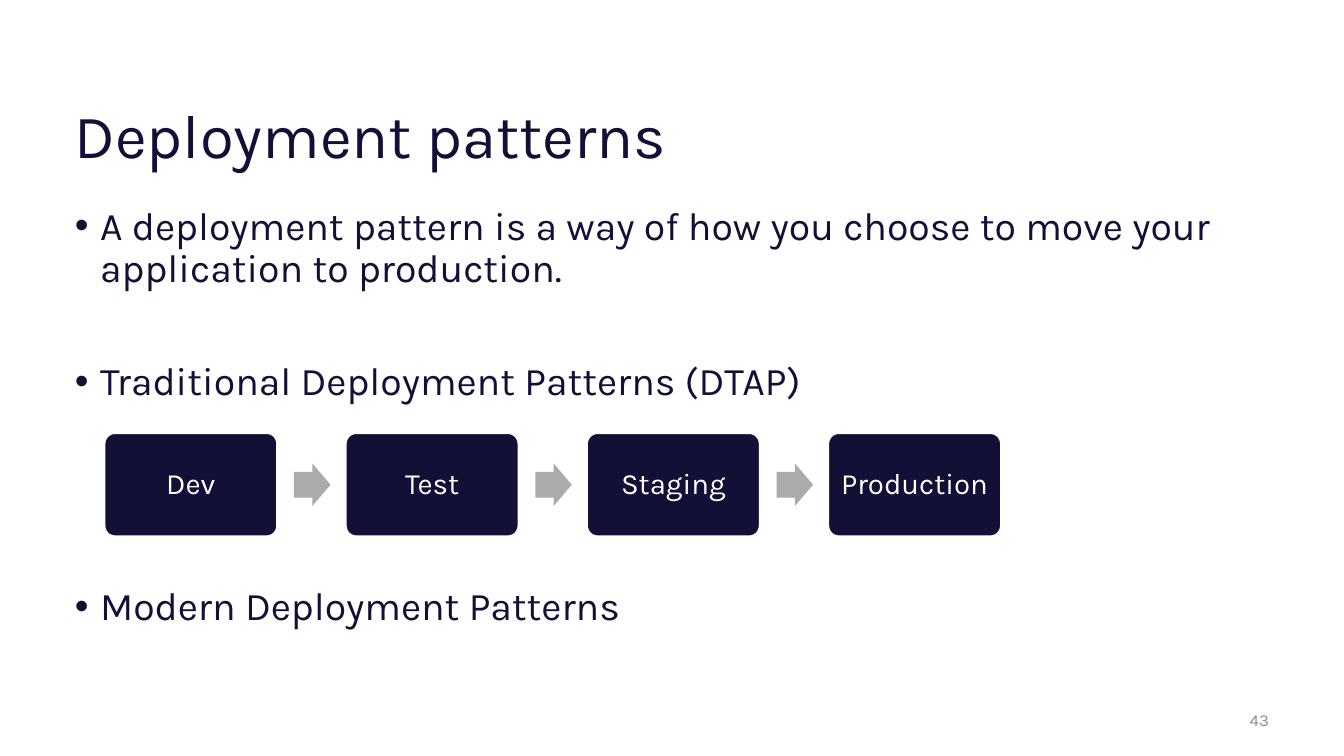
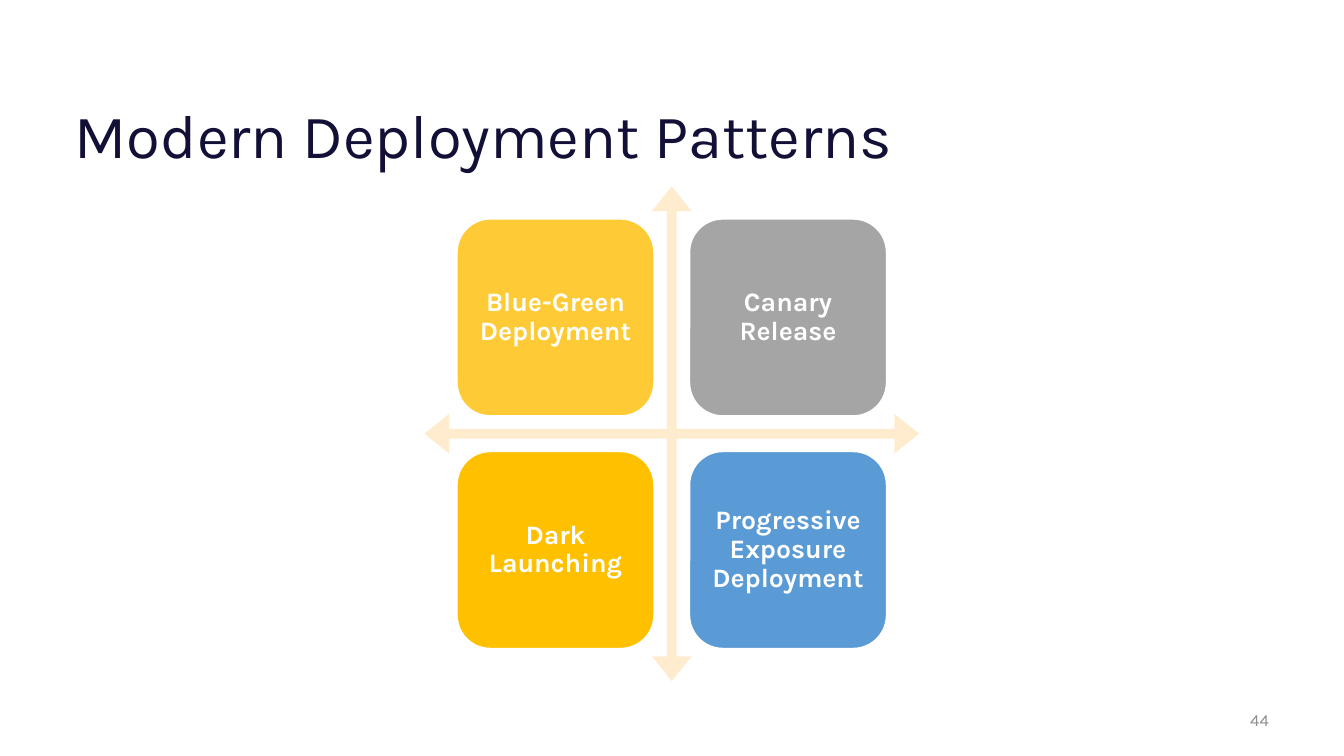
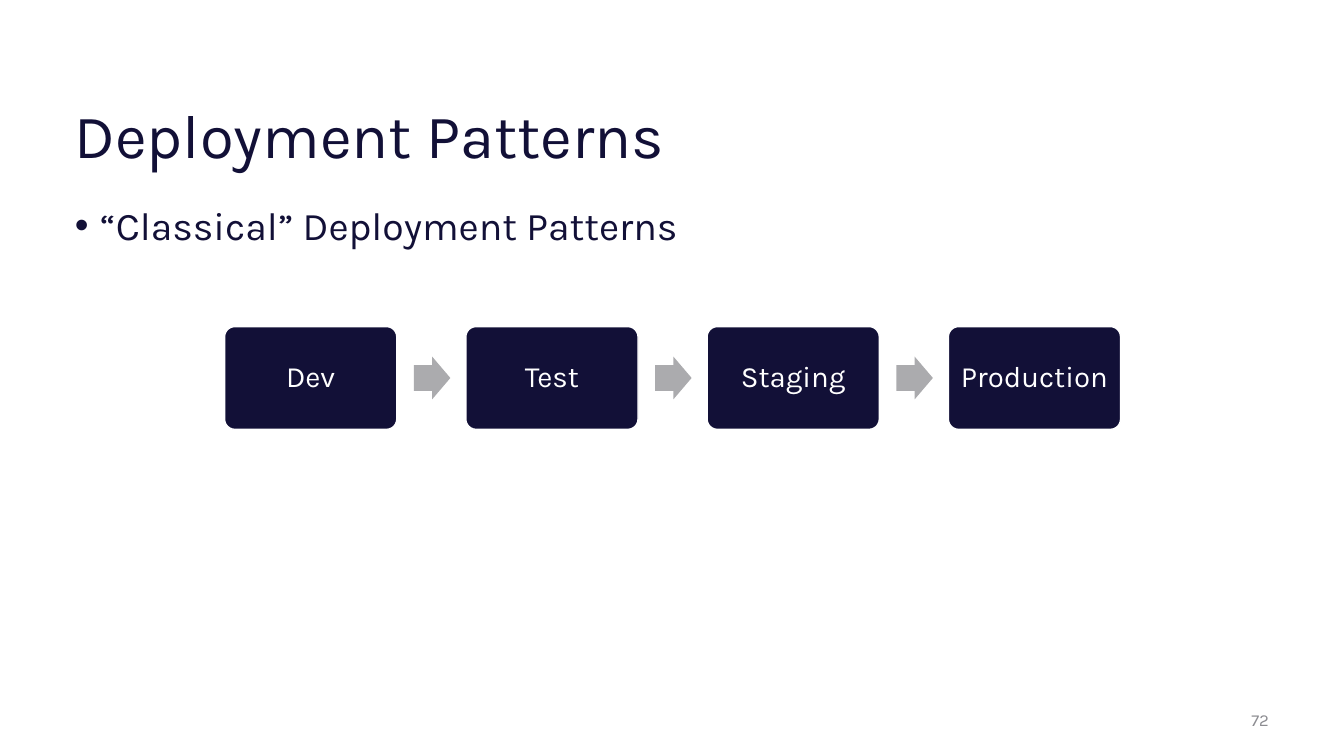
from dataclasses import dataclass

import pptx
import pptx.dml.color
import pptx.enum.shapes
import pptx.enum.text
import pptx.presentation
import pptx.shapes.autoshape
import pptx.slide
import pptx.text.text
import pptx.util

Cm = pptx.util.Cm
Pt = pptx.util.Pt
RGBColor = pptx.dml.color.RGBColor
MSO_SHAPE = pptx.enum.shapes.MSO_SHAPE
PP_ALIGN = pptx.enum.text.PP_ALIGN
MSO_ANCHOR = pptx.enum.text.MSO_ANCHOR

# Shared style
FONT = "Karla"
NAVY = RGBColor(0x12, 0x10, 0x37)
WHITE = RGBColor(0xFF, 0xFF, 0xFF)
NUMBER_GREY = RGBColor(0x8C, 0x8C, 0x91)
ARROW_GREY = RGBColor(0xAB, 0xAB, 0xAE)
CREAM = RGBColor(0xFF, 0xEC, 0xCE)
AMBER = RGBColor(0xFE, 0xCB, 0x37)
GREY = RGBColor(0xA5, 0xA5, 0xA5)
GOLD = RGBColor(0xFF, 0xC0, 0x00)
BLUE = RGBColor(0x5B, 0x9B, 0xD5)

TITLE_AND_CONTENT, TITLE_ONLY = 1, 5  # layouts of the default template

# Deployment stages: boxes joined by arrows (cm)
STAGES = ("Dev", "Test", "Staging", "Production")
STAGE_WIDTH, STAGE_HEIGHT, STAGE_PITCH = 4.34, 2.59, 6.08
ARROW_WIDTH, ARROW_HEIGHT, ARROW_OFFSET = 0.92, 1.08, 4.77

# Pattern matrix: two by two tiles over a four-way arrow (cm)
CENTER_X, CENTER_Y = 16.93, 10.93
AXES_SIZE, TILE_SIZE, TILE_GAP = 12.47, 4.98, 0.88


@dataclass(frozen=True)
class Box:
    """A rectangle in centimetres."""
    left: float
    top: float
    width: float
    height: float

    def lengths(self) -> tuple[pptx.util.Length, ...]:
        return Cm(self.left), Cm(self.top), Cm(self.width), Cm(self.height)


@dataclass(frozen=True)
class Bullet:
    text: str
    space_before: float = 0


@dataclass(frozen=True)
class Label:
    """Look of the text and outline of a labelled box."""
    size: float
    inset: float
    outline: float
    bold: bool = False


@dataclass(frozen=True)
class Pattern:
    name: str
    color: RGBColor


TITLE_BOX = Box(1.63, 2.29, 30.61, 2.41)
BODY_BOX = Box(1.63, 5.08, 30.61, 11.71)
NUMBER_BOX = Box(23.85, 17.65, 8.38, 1.02)
STAGE_LABEL = Label(size=21, inset=0.21, outline=1)
TILE_LABEL = Label(size=19, inset=0.2, outline=1.5, bold=True)

PATTERNS = (
    Pattern("Blue-Green Deployment", AMBER),
    Pattern("Canary Release", GREY),
    Pattern("Dark Launching", GOLD),
    Pattern("Progressive Exposure Deployment", BLUE),
)


def style(paragraph: pptx.text.text._Paragraph, size: float, color: RGBColor,
          align: PP_ALIGN = PP_ALIGN.LEFT, bold: bool = False) -> None:
    paragraph.alignment = align
    paragraph.line_spacing = 0.9
    paragraph.font.name = FONT
    paragraph.font.size = Pt(size)
    paragraph.font.bold = bold
    paragraph.font.color.rgb = color


def place(placeholder: pptx.shapes.autoshape.Shape, box: Box, anchor: MSO_ANCHOR) -> None:
    placeholder.left, placeholder.top, placeholder.width, placeholder.height = box.lengths()
    placeholder.text_frame.auto_size = pptx.enum.text.MSO_AUTO_SIZE.NONE
    placeholder.text_frame.vertical_anchor = anchor


def add_slide(deck: pptx.presentation.Presentation, layout: int, title: str,
              number: int) -> pptx.slide.Slide:
    """Add a slide with its title and slide number."""
    slide = deck.slides.add_slide(deck.slide_layouts[layout])
    heading = slide.shapes.title
    place(heading, TITLE_BOX, MSO_ANCHOR.MIDDLE)
    heading.text_frame.text = title
    style(heading.text_frame.paragraphs[0], 44, NAVY)

    page = slide.shapes.add_textbox(*NUMBER_BOX.lengths()).text_frame
    page.word_wrap = True
    page.vertical_anchor = MSO_ANCHOR.MIDDLE
    page.text = str(number)
    style(page.paragraphs[0], 12, NUMBER_GREY, PP_ALIGN.RIGHT)
    return slide


def fill_body(slide: pptx.slide.Slide, *bullets: Bullet) -> None:
    body = slide.placeholders[1]
    place(body, BODY_BOX, MSO_ANCHOR.TOP)
    body.text_frame.text = "\n".join(bullet.text for bullet in bullets)
    for paragraph, bullet in zip(body.text_frame.paragraphs, bullets):
        properties = paragraph._p.get_or_add_pPr()
        properties.set("marL", str(Cm(0.64)))
        properties.set("indent", str(-Cm(0.64)))
        style(paragraph, 28, NAVY)
        paragraph.space_before = Pt(bullet.space_before)


def add_flat(slide: pptx.slide.Slide, kind: MSO_SHAPE, box: Box, color: RGBColor,
             *adjustments: float) -> pptx.shapes.autoshape.Shape:
    """Add a plain filled shape without outline or shadow."""
    shape = slide.shapes.add_shape(kind, *box.lengths())
    shape.shadow.inherit = False
    shape.fill.solid()
    shape.fill.fore_color.rgb = color
    shape.line.fill.background()
    for index, value in enumerate(adjustments):
        shape.adjustments[index] = value
    return shape


def add_labelled(slide: pptx.slide.Slide, box: Box, color: RGBColor, rounding: float,
                 text: str, label: Label) -> None:
    """Add a rounded box with a white outline and centred white text."""
    shape = add_flat(slide, MSO_SHAPE.ROUNDED_RECTANGLE, box, color, rounding)
    shape.line.color.rgb = WHITE
    shape.line.width = Pt(label.outline)
    frame = shape.text_frame
    frame.word_wrap = True
    frame.vertical_anchor = MSO_ANCHOR.MIDDLE
    frame.margin_left = frame.margin_right = Cm(label.inset)
    frame.margin_top = frame.margin_bottom = Cm(label.inset)
    frame.text = text
    style(frame.paragraphs[0], label.size, WHITE, PP_ALIGN.CENTER, label.bold)


def add_stages(slide: pptx.slide.Slide, left: float, top: float) -> None:
    arrow_top = top + (STAGE_HEIGHT - ARROW_HEIGHT) / 2
    for index, stage in enumerate(STAGES):
        x = left + index * STAGE_PITCH
        add_labelled(slide, Box(x, top, STAGE_WIDTH, STAGE_HEIGHT), NAVY, 0.1,
                     stage, STAGE_LABEL)
        if index < len(STAGES) - 1:
            arrow = Box(x + ARROW_OFFSET, arrow_top, ARROW_WIDTH, ARROW_HEIGHT)
            add_flat(slide, MSO_SHAPE.RIGHT_ARROW, arrow, ARROW_GREY, 0.6, 0.5)


def add_pattern_matrix(slide: pptx.slide.Slide) -> None:
    axes = Box(CENTER_X - AXES_SIZE / 2, CENTER_Y - AXES_SIZE / 2, AXES_SIZE, AXES_SIZE)
    add_flat(slide, MSO_SHAPE.QUAD_ARROW, axes, CREAM, 0.02, 0.04, 0.05)
    pitch = TILE_SIZE + TILE_GAP
    left = CENTER_X - TILE_GAP / 2 - TILE_SIZE
    top = CENTER_Y - TILE_GAP / 2 - TILE_SIZE
    for index, pattern in enumerate(PATTERNS):
        row, column = divmod(index, 2)
        tile = Box(left + column * pitch, top + row * pitch, TILE_SIZE, TILE_SIZE)
        add_labelled(slide, tile, pattern.color, 0.17, pattern.name, TILE_LABEL)


def main() -> None:
    deck = pptx.Presentation()
    deck.slide_width, deck.slide_height = Cm(33.87), Cm(19.05)

    # Overview of deployment patterns
    overview = add_slide(deck, TITLE_AND_CONTENT, "Deployment patterns", 43)
    fill_body(
        overview,
        Bullet("A deployment pattern is a way of how you choose to move your "
               "application to production."),
        Bullet("Traditional Deployment Patterns (DTAP)", 50.5),
        Bullet("Modern Deployment Patterns", 130.5),
    )
    add_stages(overview, 2.64, 10.92)

    # Modern patterns
    modern = add_slide(deck, TITLE_ONLY, "Modern Deployment Patterns", 44)
    add_pattern_matrix(modern)

    # Classical patterns
    classical = add_slide(deck, TITLE_AND_CONTENT, "Deployment Patterns", 72)
    fill_body(classical, Bullet("“Classical” Deployment Patterns"))
    add_stages(classical, 5.66, 8.23)

    deck.save("out.pptx")


if __name__ == "__main__":
    main()
